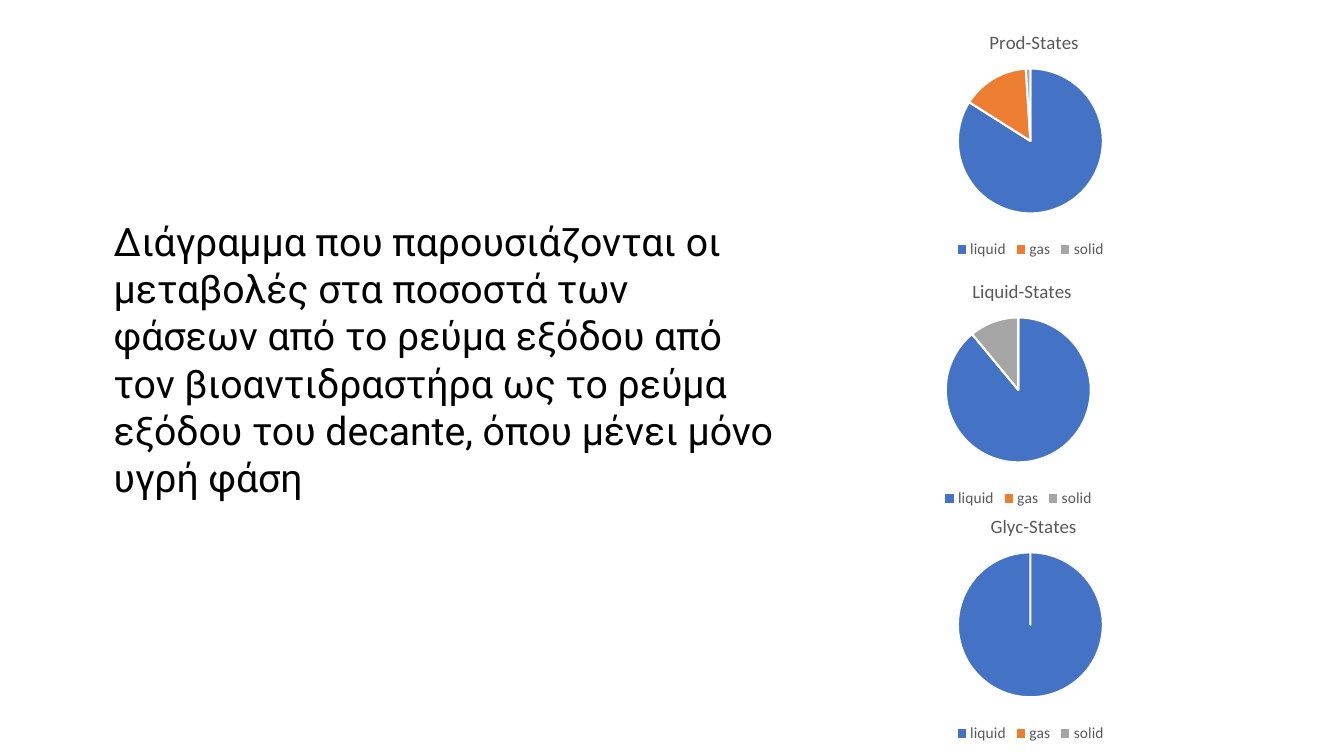
from dataclasses import dataclass

from pptx import Presentation
from pptx.chart.data import CategoryChartData
from pptx.dml.color import RGBColor
from pptx.enum.chart import XL_CHART_TYPE, XL_LEGEND_POSITION
from pptx.enum.text import MSO_AUTO_SIZE
from pptx.oxml import parse_xml
from pptx.oxml.ns import nsdecls
from pptx.util import Inches, Pt


@dataclass(frozen=True)
class Theme:
    text_font: str = "Roboto"
    chart_font: str = "Calibri"
    text_size: float = 28
    title_size: float = 13.5
    legend_size: float = 11
    text_color: str = "000000"
    label_color: str = "595959"
    background: str = "FFFFFF"
    phase_colors: tuple = ("4472C4", "ED7D31", "A5A5A5")


PHASES = ("liquid", "gas", "solid")
CHART_WIDTH, CHART_HEIGHT = 4.16, 2.52
PIE_SIZE, PIE_TOP, TITLE_TOP = 1.44, 0.59, 0.17
STATE_CHARTS = (
    ("Prod-States", 8.14, 0.09, 1.64, (84, 15, 1)),
    ("Liquid-States", 8.02, 2.56, 1.59, (89, 0, 11)),
    ("Glyc-States", 8.14, 4.89, 1.65, (100, 0, 0)),
)
DESCRIPTION = (
    "Διάγραμμα που παρουσιάζονται οι μεταβολές στα ποσοστά των φάσεων "
    "από το ρεύμα εξόδου από τον βιοαντιδραστήρα ως το ρεύμα εξόδου "
    "του decante, όπου μένει μόνο υγρή φάση"
)


class SlideBuilder:
    """Adds styled text and pie charts to one slide."""

    def __init__(self, slide, theme):
        self.slide = slide
        self.theme = theme
        fill = slide.background.fill
        fill.solid()
        fill.fore_color.rgb = RGBColor.from_string(theme.background)

    def format_font(self, font, name, size, color):
        for attribute, value in {"name": name, "size": Pt(size), "bold": False}.items():
            setattr(font, attribute, value)
        font.color.rgb = RGBColor.from_string(color)

    def add_text(self, text, left, top, width, height):
        shape = self.slide.shapes.add_textbox(*map(Inches, (left, top, width, height)))
        frame = shape.text_frame
        frame.text = text
        for attribute, value in {
            "word_wrap": True,
            "auto_size": MSO_AUTO_SIZE.SHAPE_TO_FIT_TEXT,
        }.items():
            setattr(frame, attribute, value)
        theme = self.theme
        run = frame.paragraphs[0].runs[0]
        self.format_font(run.font, theme.text_font, theme.text_size, theme.text_color)

    def place(self, element, index, target, **fractions):
        for layout in element.xpath("./c:layout"):
            element.remove(layout)
        inner = '<c:layoutTarget val="inner"/>' if target else ""
        modes = '<c:xMode val="edge"/><c:yMode val="edge"/>'
        sizes = "".join(
            f'<c:{name} val="{value:.3f}"/>' for name, value in fractions.items()
        )
        element.insert(index, parse_xml(
            f'<c:layout {nsdecls("c")}><c:manualLayout>'
            f"{inner}{modes}{sizes}</c:manualLayout></c:layout>"
        ))

    def add_pie(self, title, left, top, title_left, values):
        theme = self.theme
        data = CategoryChartData()
        data.categories = PHASES
        data.add_series("Series 1", values)
        chart = self.slide.shapes.add_chart(
            XL_CHART_TYPE.PIE,
            *map(Inches, (left, top, CHART_WIDTH, CHART_HEIGHT)),
            data,
        ).chart
        self.format_font(
            chart.font, theme.chart_font, theme.legend_size, theme.text_color
        )

        chart.has_title = True
        frame = chart.chart_title.text_frame
        frame.text = title
        self.format_font(
            frame.paragraphs[0].runs[0].font,
            theme.chart_font, theme.title_size, theme.label_color,
        )
        self.place(
            chart.chart_title.element, 1, False,
            x=title_left / CHART_WIDTH, y=TITLE_TOP / CHART_HEIGHT,
        )
        self.place(
            chart.element.xpath("./c:chart/c:plotArea")[0], 0, True,
            x=(CHART_WIDTH - PIE_SIZE) / 2 / CHART_WIDTH,
            y=PIE_TOP / CHART_HEIGHT,
            w=PIE_SIZE / CHART_WIDTH,
            h=PIE_SIZE / CHART_HEIGHT,
        )

        chart.has_legend = True
        for attribute, value in {
            "position": XL_LEGEND_POSITION.BOTTOM,
            "include_in_layout": False,
        }.items():
            setattr(chart.legend, attribute, value)
        self.format_font(
            chart.legend.font, theme.chart_font, theme.legend_size, theme.label_color
        )

        plot = chart.plots[0]
        plot.vary_by_categories = True
        for index, color in enumerate(theme.phase_colors):
            style = plot.series[0].points[index].format
            style.fill.solid()
            style.fill.fore_color.rgb = RGBColor.from_string(color)
            style.line.color.rgb = RGBColor.from_string(theme.background)
            style.line.width = Pt(1.5)


def main():
    presentation = Presentation()
    presentation.slide_width = Inches(13.33)
    presentation.slide_height = Inches(7.5)
    slide = presentation.slides.add_slide(presentation.slide_layouts[6])
    builder = SlideBuilder(slide, Theme())
    for state_chart in STATE_CHARTS:
        builder.add_pie(*state_chart)
    builder.add_text(DESCRIPTION, 1.03, 2.11, 6.74, 2.93)
    presentation.save("out.pptx")


if __name__ == "__main__":
    main()
